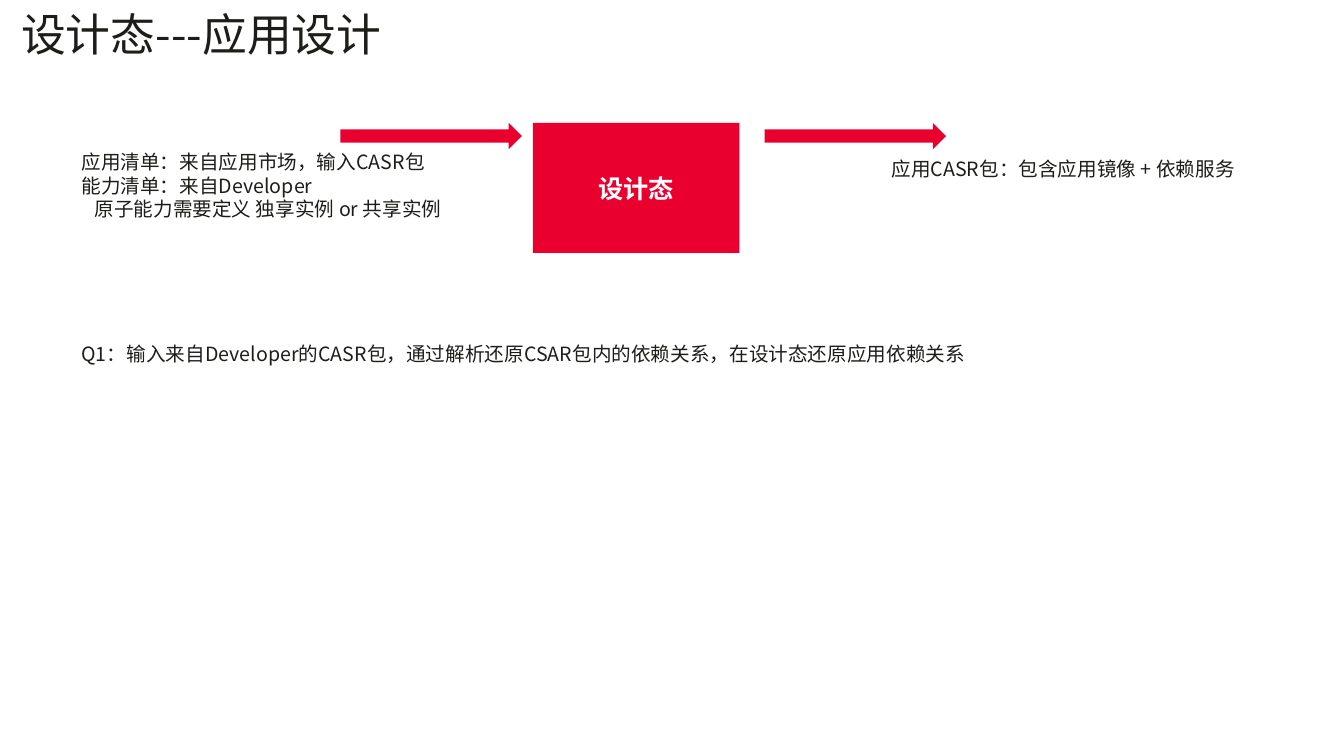
from lxml import etree
from pptx import Presentation
from pptx import util as u
from pptx.dml.color import RGBColor
from pptx.enum import shapes, text
from pptx.oxml import ns

COLORS = {"red": "EA002F", "ink": "1D1D1A", "white": "FFFFFF"}
CJK = "Noto Sans CJK SC"


class Slide:
    """Style and current slide."""

    def __init__(self, prs):
        self.s = prs.slides.add_slide(prs.slide_layouts[5])

    def style(self, p, size, color, name=CJK, bold=False, pitch=None):
        f = p.font
        f.size, f.name, f.bold = u.Pt(size), name, bold
        f.color.rgb = RGBColor.from_string(COLORS[color])
        ea = etree.SubElement(f._element, ns.qn("a:ea"))
        ea.set("typeface", CJK)
        if pitch:
            p.line_spacing = u.Pt(pitch)

    def title(self, words, x, y, w, h):
        sp = self.s.shapes.title
        sp.left, sp.top, sp.width, sp.height = map(u.Inches, (x, y, w, h))
        tf = sp.text_frame
        tf.margin_left = tf.margin_top = tf.margin_right = tf.margin_bottom = 0
        tf.vertical_anchor = text.MSO_ANCHOR.TOP
        tf.auto_size = text.MSO_AUTO_SIZE.NONE
        tf.text = words
        p = tf.paragraphs[0]
        p.alignment = text.PP_ALIGN.LEFT
        self.style(p, 32, "ink", pitch=34.3)

    def block(self, kind, x, y, w, h, words=None):
        sp = self.s.shapes.add_shape(kind, *map(u.Inches, (x, y, w, h)))
        sp.shadow.inherit = False
        sp.fill.solid()
        sp.fill.fore_color.rgb = RGBColor.from_string(COLORS["red"])
        sp.line.fill.background()
        if words:
            tf = sp.text_frame
            tf.text = words
            tf.vertical_anchor = text.MSO_ANCHOR.MIDDLE
            p = tf.paragraphs[0]
            p.alignment = text.PP_ALIGN.CENTER
            self.style(p, 18, "white", "Calibri", bold=True)

    def note(self, lines, x, y, w, h):
        """Text box from (words, left indent in inches) pairs."""
        tf = self.s.shapes.add_textbox(*map(u.Inches, (x, y, w, h))).text_frame
        tf.word_wrap = True
        for i, (words, indent) in enumerate(lines):
            p = tf.add_paragraph() if i else tf.paragraphs[0]
            p.text = words
            self.style(p, 14, "ink", pitch=16.8)
            if indent:
                p._p.get_or_add_pPr().set("marL", str(u.Inches(indent)))


def main():
    prs = Presentation()
    prs.slide_width, prs.slide_height = u.Inches(13.34), u.Inches(7.5)
    page = Slide(prs)
    page.title("设计态---应用设计", 0.21, 0.12, 11.75, 0.53)

    # Flow: input arrow, design stage, output arrow
    for x in (3.38, 7.59):
        page.block(shapes.MSO_SHAPE.RIGHT_ARROW, x, 1.22, 1.8, 0.26)
    page.block(shapes.MSO_SHAPE.RECTANGLE, 5.29, 1.22, 2.05, 1.29, "设计态")

    # Inputs, output and the open question
    page.note([("应用清单：来自应用市场，输入CASR包", 0),
               ("能力清单：来自Developer", 0),
               ("原子能力需要定义 独享实例 or 共享实例", 0.13)],
              0.71, 1.44, 3.89, 0.81)
    page.note([("应用CASR包：包含应用镜像 + 依赖服务", 0)], 8.75, 1.51, 3.72, 0.34)
    page.note([("Q1：输入来自Developer的CASR包，通过解析还原CSAR包内的依赖关系，"
                "在设计态还原应用依赖关系", 0)], 0.71, 3.34, 9.37, 0.34)

    prs.save("out.pptx")


if __name__ == "__main__":
    main()
